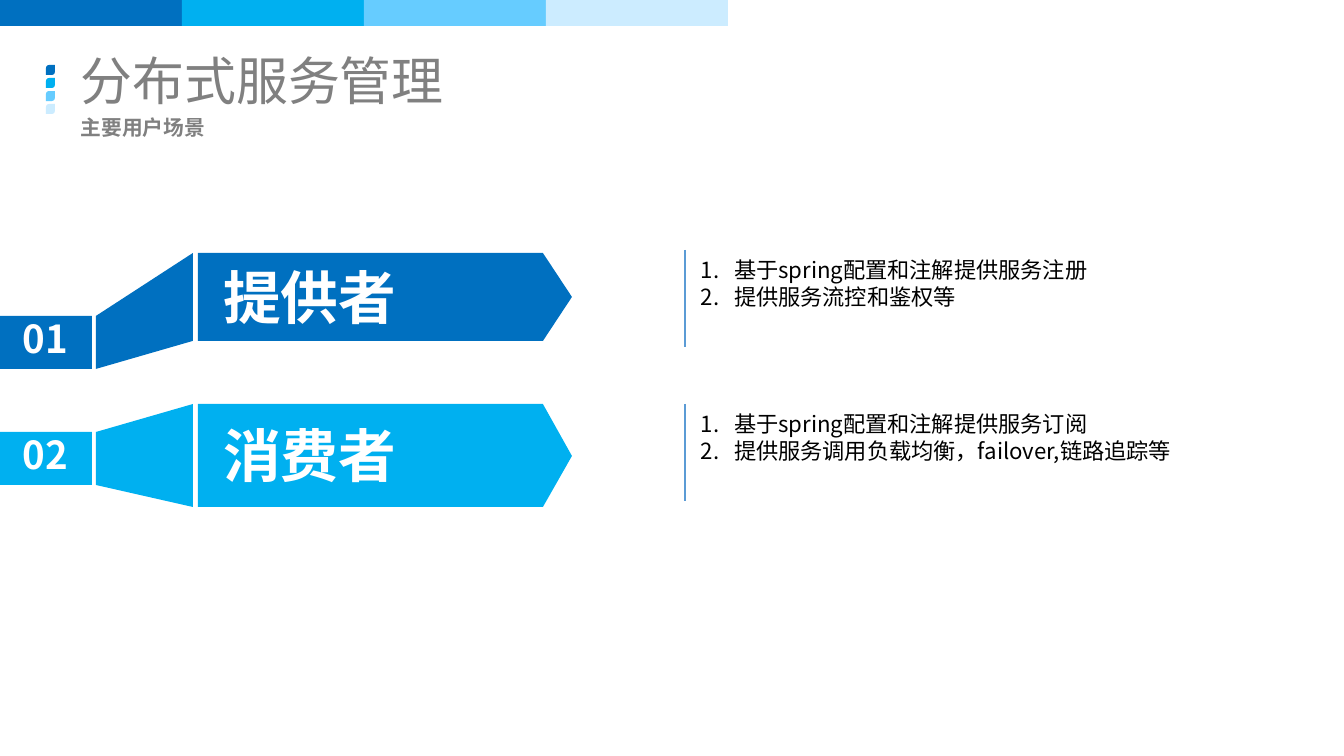
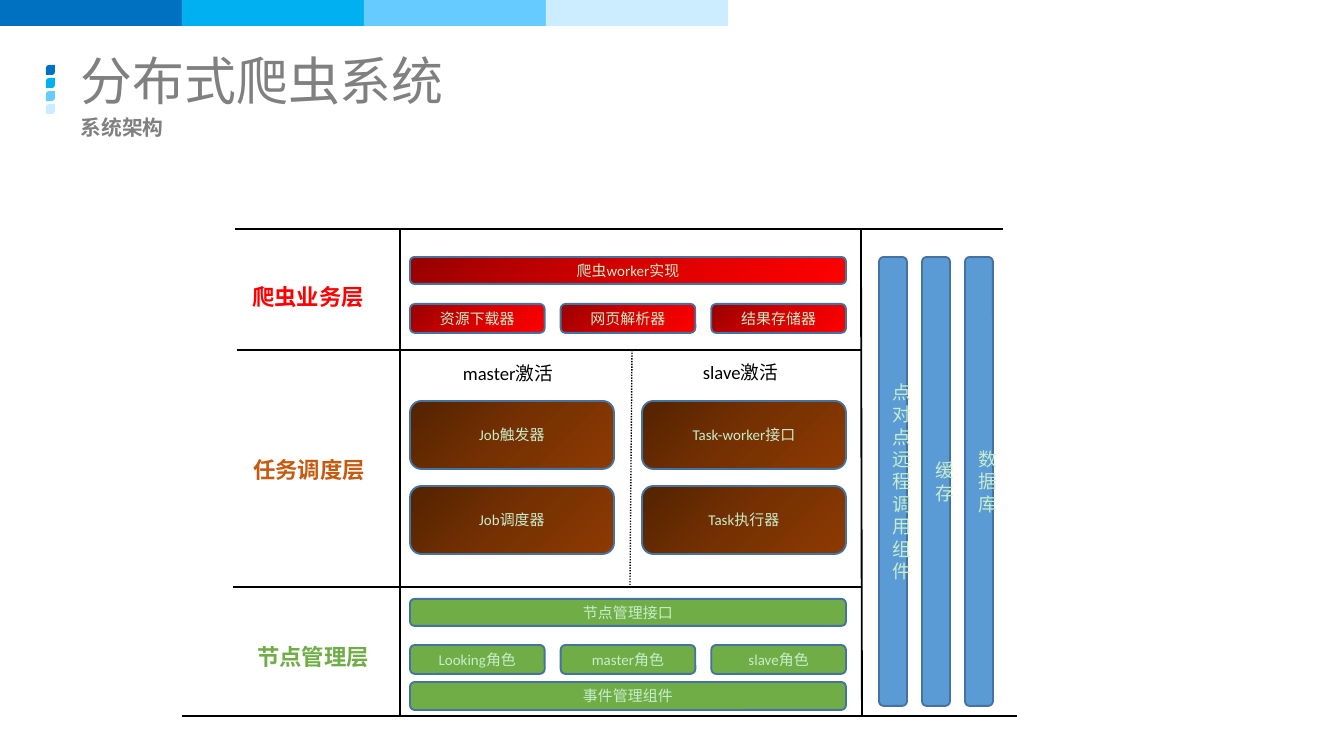
import pptx
import pptx.dml.color
import pptx.enum.dml
import pptx.enum.shapes
import pptx.enum.text
import pptx.oxml.ns
import pptx.util
from lxml import etree

SHAPE = pptx.enum.shapes.MSO_SHAPE
ALIGN = pptx.enum.text.PP_ALIGN
ANCHOR = pptx.enum.text.MSO_ANCHOR
qn = pptx.oxml.ns.qn

# Shared look
EMU_PER_PX = 914400 / 134.4
SLIDE_SIZE = (1344, 756)
CJK_FONT, LATIN_FONT = "Noto Sans CJK SC", "Calibri"
COLORS = {
    "navy": "0070C0", "sky": "00B0F0", "light": "66CCFF", "pale": "CCECFF",
    "gray": "808080", "white": "FFFFFF", "black": "000000", "mint": "C7EDCC",
    "steel": "5B9BD5", "outline": "43739E", "green": "70AD47",
    "orange": "C55A11", "red": "FF0000",
}
GRADIENTS = {
    "red_shade": ("970000", "D70000", "FF0000"),
    "brown_shade": ("532301", "763102", "8D3A02"),
}
BRAND = ("navy", "sky", "light", "pale")
STYLES = {
    "title": {"size": 27.8, "name": CJK_FONT, "color": "gray", "bold": False},
    "subtitle": {"size": 11.1, "name": CJK_FONT, "color": "gray", "bold": True},
    "banner": {"size": 30.9, "name": CJK_FONT, "color": "white", "bold": True},
    "number": {"size": 20.6, "name": CJK_FONT, "color": "white", "bold": True},
    "list": {"size": 11.9, "name": CJK_FONT, "color": "black"},
    "layer": {"size": 12, "name": LATIN_FONT, "bold": True},
    "heading": {"size": 10, "name": LATIN_FONT, "color": "black"},
    "box": {"size": 8, "name": LATIN_FONT, "color": "mint"},
    "pillar": {"size": 10, "name": LATIN_FONT, "color": "mint"},
}

# Slide 1: each role has a number tag, a banner and a list
ROLES = [
    {"number": "01", "name": "提供者", "color": "navy", "tag_top": 316,
     "banner": (253, 341), "list_top": 250,
     "items": ["基于spring配置和注解提供服务注册", "提供服务流控和鉴权等"]},
    {"number": "02", "name": "消费者", "color": "sky", "tag_top": 432,
     "banner": (404, 507), "list_top": 404,
     "items": ["基于spring配置和注解提供服务订阅",
               "提供服务调用负载均衡，failover,链路追踪等"]},
]

# Slide 2: layer labels, rows of boxes, pillars and rules
LAYERS = [("爬虫业务层", "red", 239, 297), ("任务调度层", "orange", 240, 470),
          ("节点管理层", "green", 244, 657)]
HEADINGS = [("master激活", 450, 373), ("slave激活", 690, 372)]
BOX_LEFT, BOX_SPAN = 410, 436
BOX_ROWS = [  # top, height, gap, fill, texts
    (257, 27, 0, "red_shade", ["爬虫worker实现"]),
    (304, 29, 16, "red_shade", ["资源下载器", "网页解析器", "结果存储器"]),
    (401, 68, 28, "brown_shade", ["Job触发器", "Task-worker接口"]),
    (486, 68, 28, "brown_shade", ["Job调度器", "Task执行器"]),
    (599, 27, 0, "green", ["节点管理接口"]),
    (645, 29, 16, "green", ["Looking角色", "master角色", "slave角色"]),
    (682, 28, 0, "green", ["事件管理组件"]),
]
PILLARS = ["点对点远程调用组件", "缓存", "数据库"]
RULES = [  # start x, start y, end x, end y, width
    (235, 229, 1003, 229, 1.5), (237, 350, 862, 350, 1.5),
    (233, 587, 862, 587, 1.5), (182, 716, 1017, 716, 1.5),
    (400, 229, 400, 716, 1.5), (861, 229, 862, 716, 1),
]


def px(*values):
    return [pptx.util.Emu(round(value * EMU_PER_PX)) for value in values]


def rgb(name):
    return pptx.dml.color.RGBColor.from_string(COLORS[name])


def write(frame, lines, style, align=ALIGN.LEFT, **changes):
    """Fill a text frame with one formatted paragraph per line."""
    values = {**STYLES[style], **changes}
    color = values.pop("color")
    values["size"] = pptx.util.Pt(values["size"])
    frame.text = "\n".join(lines)
    for paragraph in frame.paragraphs:
        paragraph.alignment = align
        font = paragraph.runs[0].font
        for name, value in values.items():
            setattr(font, name, value)
        font.color.rgb = rgb(color)
        east_asian = etree.SubElement(paragraph.runs[0]._r.rPr, qn("a:ea"))
        east_asian.set("typeface", CJK_FONT)


def set_frame(frame, **values):
    for name, value in values.items():
        setattr(frame, name, value)


def paint(shape, fill, outline=None):
    shape.shadow.inherit = False
    if fill in GRADIENTS:
        shape.fill.gradient()
        shape.fill.gradient_angle = 315
        stops = shape._element.spPr.find(".//" + qn("a:gsLst"))
        for stop in list(stops):
            stops.remove(stop)
        for position, value in zip((0, 50000, 100000), GRADIENTS[fill]):
            stop = etree.SubElement(stops, qn("a:gs"), pos=str(position))
            etree.SubElement(stop, qn("a:srgbClr"), val=value)
    else:
        shape.fill.solid()
        shape.fill.fore_color.rgb = rgb(fill)
    if outline:
        shape.line.color.rgb = rgb(outline)
        shape.line.width = pptx.util.Pt(1)
    else:
        shape.line.fill.background()


def add_block(slide, kind, area, fill, outline=None):
    shape = slide.shapes.add_shape(kind, *px(*area))
    paint(shape, fill, outline)
    return shape


def add_polygon(slide, points, fill):
    builder = slide.shapes.build_freeform(*points[0], scale=EMU_PER_PX)
    builder.add_line_segments(points[1:], close=True)
    paint(builder.convert_to_shape(), fill)


def add_box(slide, area, text, style, fill):
    shape = add_block(slide, SHAPE.ROUNDED_RECTANGLE, area, fill, "outline")
    set_frame(shape.text_frame, vertical_anchor=ANCHOR.MIDDLE)
    write(shape.text_frame, [text], style, ALIGN.CENTER)


def add_label(slide, left, middle, width, text, style, inset=13, **changes):
    """Place one line of text, centred vertically on middle."""
    height = 40
    box = slide.shapes.add_textbox(*px(left, middle - height / 2, width, height))
    side, = px(inset)
    set_frame(box.text_frame, word_wrap=False, vertical_anchor=ANCHOR.MIDDLE,
              margin_left=side, margin_right=side)
    write(box.text_frame, [text], style, **changes)


def add_rule(slide, ends, color, width, dash=None):
    line = slide.shapes.add_connector(
        pptx.enum.shapes.MSO_CONNECTOR.STRAIGHT, *px(*ends))
    line.line.color.rgb = rgb(color)
    line.line.width = pptx.util.Pt(width)
    if dash:
        line.line.dash_style = dash
    etree.SubElement(line._element.spPr, qn("a:effectLst"))


def move(shape, area):
    for name, value in zip(("left", "top", "width", "height"), px(*area)):
        setattr(shape, name, value)


def start_slide(presentation, layout, title, subtitle):
    """Add a slide with the top band, the petal mark and both headings."""
    slide = presentation.slides.add_slide(presentation.slide_layouts[layout])
    for index, color in enumerate(BRAND):
        add_block(slide, SHAPE.RECTANGLE, (182 * index, 0, 182, 26), color)
        petal = add_block(slide, SHAPE.ROUND_2_DIAG_RECTANGLE,
                          (46, 65 + 13 * index, 9, 10), color)
        petal.adjustments[0] = 0.35
    headings = [(slide.shapes.title, (67, 53, 1210, 54), title, "title"),
                (slide.placeholders[1], (67, 105, 1210, 44), subtitle, "subtitle")]
    for shape, area, text, style in headings:
        move(shape, area)
        set_frame(shape.text_frame, vertical_anchor=ANCHOR.MIDDLE,
                  auto_size=pptx.enum.text.MSO_AUTO_SIZE.NONE)
        write(shape.text_frame, [text], style)
        paragraph = shape.text_frame.paragraphs[0]
        paragraph.space_before = pptx.util.Pt(0)
        properties = paragraph._p.get_or_add_pPr()
        properties.set("marL", "0")
        properties.set("indent", "0")
        etree.SubElement(properties, qn("a:buNone"))
    return slide


def fill_numbered_list(shape, area, items):
    move(shape, area)
    side, edge = px(12, 5)
    set_frame(shape.text_frame, margin_left=side, margin_right=side,
              margin_top=edge, margin_bottom=edge, vertical_anchor=ANCHOR.TOP,
              auto_size=pptx.enum.text.MSO_AUTO_SIZE.NONE)
    write(shape.text_frame, items, "list", ALIGN.JUSTIFY)
    indent, = px(33)
    for paragraph in shape.text_frame.paragraphs:
        paragraph.space_before = pptx.util.Pt(0)
        paragraph.line_spacing = pptx.util.Pt(14.5)
        properties = paragraph._p.get_or_add_pPr()
        properties.set("marL", str(indent))
        properties.set("indent", str(-indent))
        etree.SubElement(properties, qn("a:buAutoNum"), type="arabicPeriod")


def build_roles(presentation):
    slide = start_slide(presentation, 4, "分布式服务管理", "主要用户场景")
    for role, list_index in zip(ROLES, (2, 4)):
        color, tag_top = role["color"], role["tag_top"]
        top, bottom = role["banner"]
        middle, tag_bottom = (top + bottom) / 2, tag_top + 53
        # Tag, slanted joint and arrow banner
        add_block(slide, SHAPE.RECTANGLE, (-4, tag_top, 96, 53), color)
        add_polygon(slide, [(96, tag_bottom), (193, bottom), (193, top),
                            (96, tag_top)], color)
        add_polygon(slide, [(198, top), (543, top), (572, middle),
                            (543, bottom), (198, bottom)], color)
        add_label(slide, 211, middle - 1, 199, role["name"], "banner", 12)
        add_label(slide, 11, tag_top + 22, 71, role["number"], "number", 12)
        # List beside its rule
        list_top = role["list_top"]
        add_rule(slide, (685, list_top, 685, list_top + 97), "steel", 1.5)
        fill_numbered_list(slide.placeholders[list_index],
                           (689, list_top + 1, 558, 93), role["items"])
    unused = slide.placeholders[3]._element
    unused.getparent().remove(unused)


def build_architecture(presentation):
    slide = start_slide(presentation, 1, "分布式爬虫系统", "系统架构")
    # Frame
    for *ends, width in RULES:
        add_rule(slide, ends, "black", width)
    add_rule(slide, (632, 350, 630, 585), "black", 0.75,
             pptx.enum.dml.MSO_LINE.ROUND_DOT)
    # Labels
    for text, color, left, middle in LAYERS:
        add_label(slide, left, middle, 150, text, "layer", color=color)
    for text, left, middle in HEADINGS:
        add_label(slide, left, middle, 138, text, "heading")
    # Boxes share the span of their row equally
    for top, height, gap, fill, texts in BOX_ROWS:
        width = (BOX_SPAN - gap * (len(texts) - 1)) / len(texts)
        for index, text in enumerate(texts):
            left = BOX_LEFT + index * (width + gap)
            add_box(slide, (left, top, width, height), text, "box", fill)
    for index, text in enumerate(PILLARS):
        add_box(slide, (879 + 43 * index, 257, 28, 449), text, "pillar", "steel")


def main():
    presentation = pptx.Presentation()
    presentation.slide_width, presentation.slide_height = px(*SLIDE_SIZE)
    build_roles(presentation)
    build_architecture(presentation)
    presentation.save("out.pptx")


if __name__ == "__main__":
    main()
